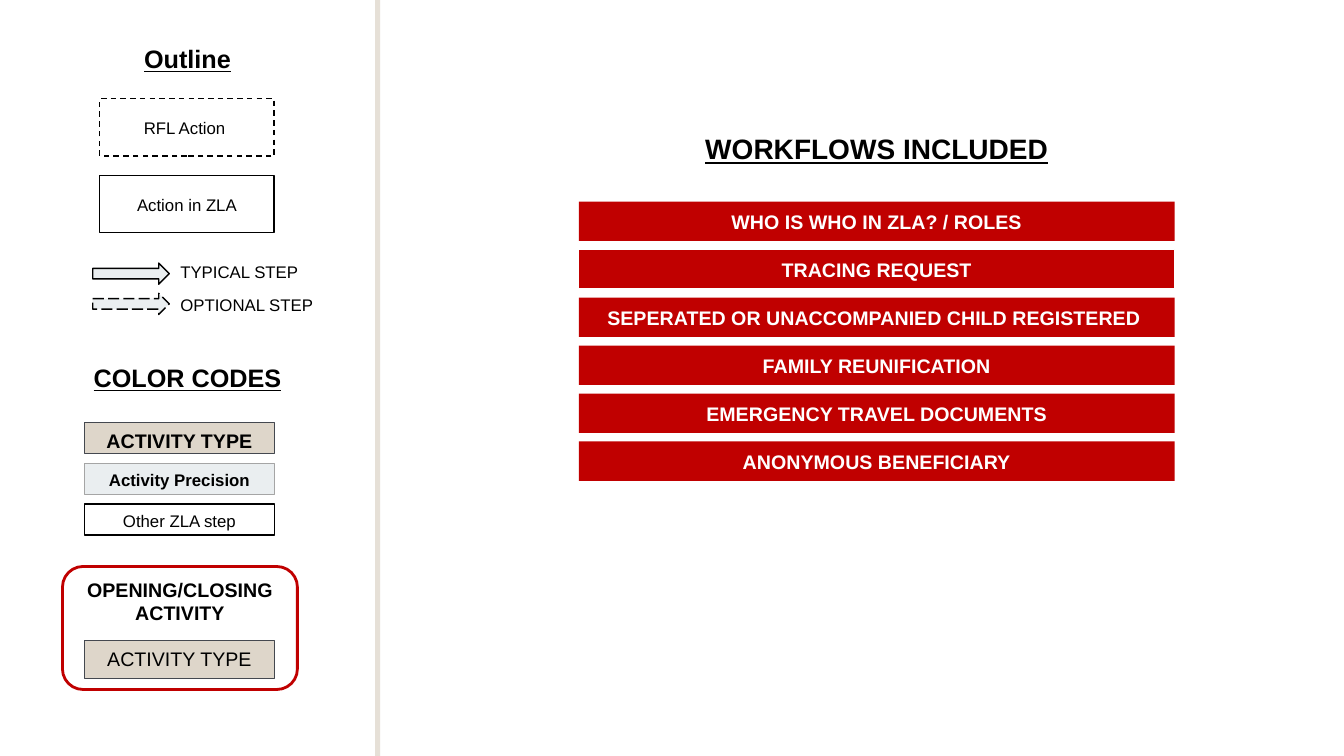
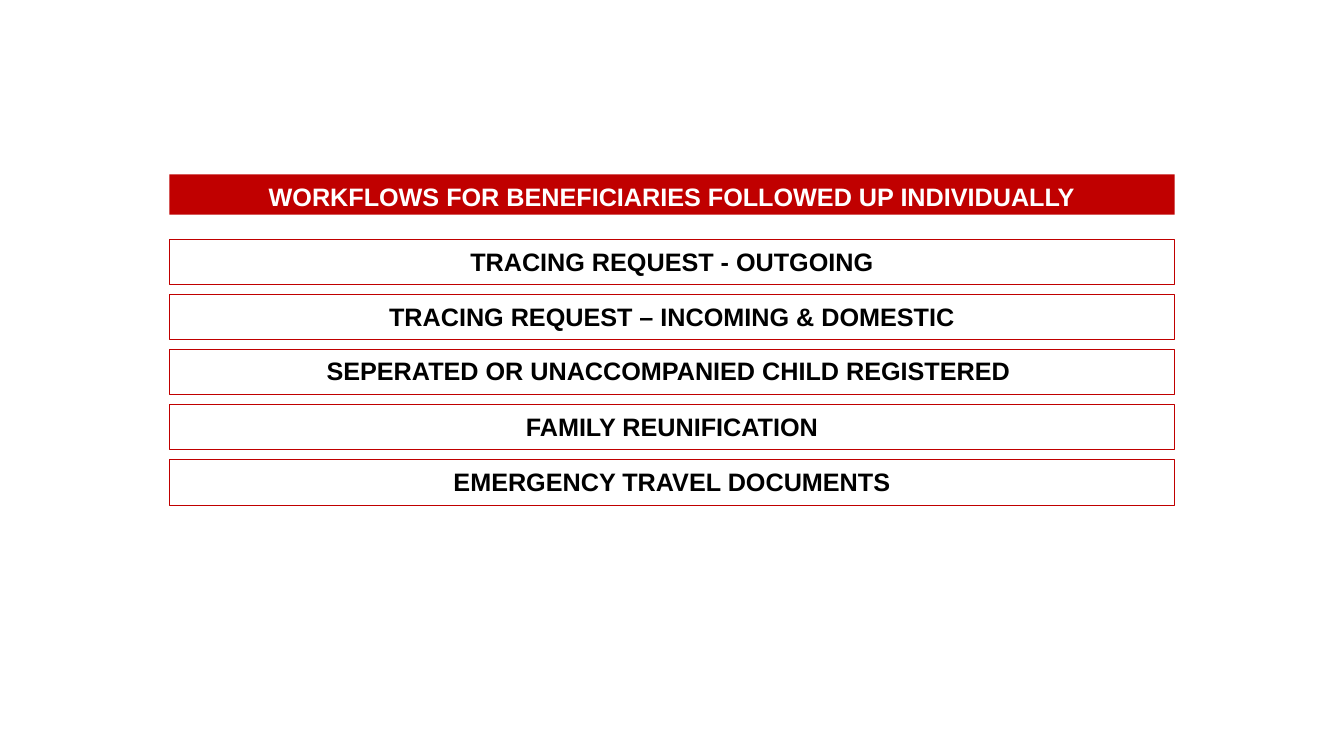
from dataclasses import dataclass

from lxml import etree
from pptx import Presentation
from pptx.dml.color import RGBColor
from pptx.enum.dml import MSO_LINE
from pptx.enum.shapes import MSO_SHAPE
from pptx.enum.text import MSO_ANCHOR, MSO_AUTO_SIZE, PP_ALIGN
from pptx.oxml.ns import qn
from pptx.util import Inches, Pt

RECT, ROUND, ARROW = MSO_SHAPE.RECTANGLE, MSO_SHAPE.ROUNDED_RECTANGLE, MSO_SHAPE.RIGHT_ARROW
TOP, MIDDLE = MSO_ANCHOR.TOP, MSO_ANCHOR.MIDDLE
LEFT, CENTER = PP_ALIGN.LEFT, PP_ALIGN.CENTER
DASH, LONG_DASH = MSO_LINE.DASH, MSO_LINE.LONG_DASH
GROW = MSO_AUTO_SIZE.SHAPE_TO_FIT_TEXT


@dataclass(frozen=True)
class Theme:
    font: str = "Arial"
    red: str = "C00000"
    beige: str = "DED6CA"
    pale: str = "EAEEF0"
    grey: str = "A5A5A5"
    slate: str = "44484F"
    black: str = "000000"
    white: str = "FFFFFF"
    small: int = 12
    body: int = 14
    heading: int = 18
    title: int = 20


T = Theme()

# Paragraph formats
SPACED = {"alignment": CENTER, "line_spacing": 1.07, "space_after": Pt(8)}
TIGHT = {"alignment": CENTER, "line_spacing": 0.9}
PLAIN = {"alignment": CENTER}
LABEL = {"alignment": LEFT}

# Box styles
BAR = {"fill": T.red, "color": T.white, "bold": True}
FRAME = {"line": T.red, "width": 0.5, "bold": True, "size": T.heading}
ACTIVITY = {"fill": T.beige, "line": T.slate, "width": 0.5}
STEP = {"fill": T.white, "line": T.black, "size": T.small, "anchor": MIDDLE}


def rgb(value):
    return RGBColor.from_string(value)


def set_all(target, values):
    for name, value in values.items():
        setattr(target, name, value)


def stack(first, last, count):
    """Evenly spaced tops from first to last."""
    return [first + i * (last - first) / (count - 1) for i in range(count)]


def write(s, text, size, color=T.black, bold=False, underline=False, para=SPACED):
    p = s.text_frame.paragraphs[0]
    set_all(p, para)
    r = p.add_run()
    r.text = text
    set_all(r.font, {"name": T.font, "size": Pt(size), "bold": bold, "underline": underline})
    r.font.color.rgb = rgb(color)


def add_shape(slide, kind, at, fill=None, line=None, width=1, dash=None):
    s = slide.shapes.add_shape(kind, *map(Inches, at))
    s.shadow.inherit = False
    if fill:
        s.fill.solid()
        s.fill.fore_color.rgb = rgb(fill)
    else:
        s.fill.background()
    if line:
        s.line.color.rgb = rgb(line)
        set_all(s.line, {"width": Pt(width), "dash_style": dash})
    else:
        s.line.fill.background()
    return s


def add_box(slide, at, text, size=T.body, color=T.black, bold=False,
            anchor=TOP, para=SPACED, kind=RECT, **look):
    s = add_shape(slide, kind, at, **look)
    set_all(s.text_frame, {"word_wrap": True, "vertical_anchor": anchor})
    write(s, text, size, color, bold, para=para)


def add_text(slide, at, text, size, wrap=True, **style):
    s = slide.shapes.add_textbox(*map(Inches, at))
    set_all(s.text_frame, {"word_wrap": wrap, "auto_size": GROW})
    write(s, text, size, **style)


def add_heading(slide, at, text, size=T.heading):
    add_text(slide, at, text, size, bold=True, underline=True, para=PLAIN)


def add_divider(slide, at, opacity):
    s = add_shape(slide, RECT, at, fill=T.beige)
    color = s.element.spPr.find(qn("a:solidFill"))[0]
    etree.SubElement(color, qn("a:alpha")).set("val", str(opacity * 1000))


def add_legend(slide):
    panel_w, code_x, code_w = 3.72, 0.84, 1.88

    # Opening and closing activity
    add_box(slide, (0.62, 5.62, 2.33, 1.22), "OPENING/CLOSING ACTIVITY", bold=True,
            para=PLAIN, kind=ROUND, line=T.red, width=2)
    add_box(slide, (code_x, 6.35, code_w, 0.38), "ACTIVITY TYPE", **ACTIVITY)

    # Outlines
    add_heading(slide, (0, 0.38, panel_w, 0.4), "Outline")
    for top, text, dash in ((0.98, "RFL Action ", DASH), (1.74, "Action in ZLA", None)):
        add_box(slide, (0.99, top, 1.73, 0.57), text, dash=dash, **STEP)

    # Arrows
    arrows = ((2.61, 2.55, 1.42, "TYPICAL STEP", None),
              (2.91, 2.87, 1.54, "OPTIONAL STEP", LONG_DASH))
    for top, text_top, text_w, text, dash in arrows:
        add_shape(slide, ARROW, (0.92, top, 0.76, 0.21), T.pale, T.black, dash=dash)
        add_text(slide, (1.69, text_top, text_w, 0.3), text, T.small, wrap=False, para=LABEL)

    # Colour codes
    add_heading(slide, (0, 3.55, panel_w, 0.4), "COLOR CODES")
    precision = {"fill": T.pale, "line": T.grey, "width": 0.5, "size": T.small, "bold": True}
    codes = (("ACTIVITY TYPE", {**ACTIVITY, "bold": True}),
             ("Activity Precision", precision),
             ("Other ZLA step", STEP))
    for top, (text, style) in zip(stack(4.19, 5, len(codes)), codes):
        add_box(slide, (code_x, top, code_w, 0.31), text, **style)

    add_divider(slide, (panel_w, 0, 0.05, 7.5), 75)


def add_overview(slide):
    add_heading(slide, (6.17, 1.26, 5.05, 0.44), "WORKFLOWS INCLUDED", T.title)
    tracing = "TRACING REQUEST"
    workflows = ("WHO IS WHO IN ZLA? / ROLES", tracing,
                 "SEPERATED OR UNACCOMPANIED CHILD REGISTERED ", "FAMILY REUNIFICATION",
                 "EMERGENCY TRAVEL DOCUMENTS", "ANONYMOUS BENEFICIARY")
    for top, text in zip(stack(2, 4.38, len(workflows)), workflows):
        edge = T.white if text == tracing else None
        add_box(slide, (5.74, top, 5.91, 0.39), text, anchor=MIDDLE, line=edge, **BAR)


def add_individual_workflows(slide):
    left, width = 1.68, 9.97
    add_box(slide, (left, 1.73, width, 0.4),
            "WORKFLOWS FOR BENEFICIARIES FOLLOWED UP INDIVIDUALLY", size=T.heading, **BAR)
    centred = {"anchor": MIDDLE, "para": TIGHT}
    workflows = (("TRACING REQUEST - OUTGOING", {}),
                 ("TRACING REQUEST – INCOMING & DOMESTIC", {}),
                 ("SEPERATED OR UNACCOMPANIED CHILD REGISTERED ", centred),
                 ("FAMILY REUNIFICATION", {}),
                 ("EMERGENCY TRAVEL DOCUMENTS", {}))
    for top, (text, extra) in zip(stack(2.37, 4.56, len(workflows)), workflows):
        add_box(slide, (left, top, width, 0.45), text, **FRAME, **extra)


def main():
    prs = Presentation()
    prs.slide_width, prs.slide_height = Inches(13.33), Inches(7.5)
    blank = prs.slide_layouts[6]

    # Legend and list of workflows
    slide = prs.slides.add_slide(blank)
    add_legend(slide)
    add_overview(slide)

    # Individual follow-up
    add_individual_workflows(prs.slides.add_slide(blank))

    prs.save("out.pptx")


if __name__ == "__main__":
    main()
